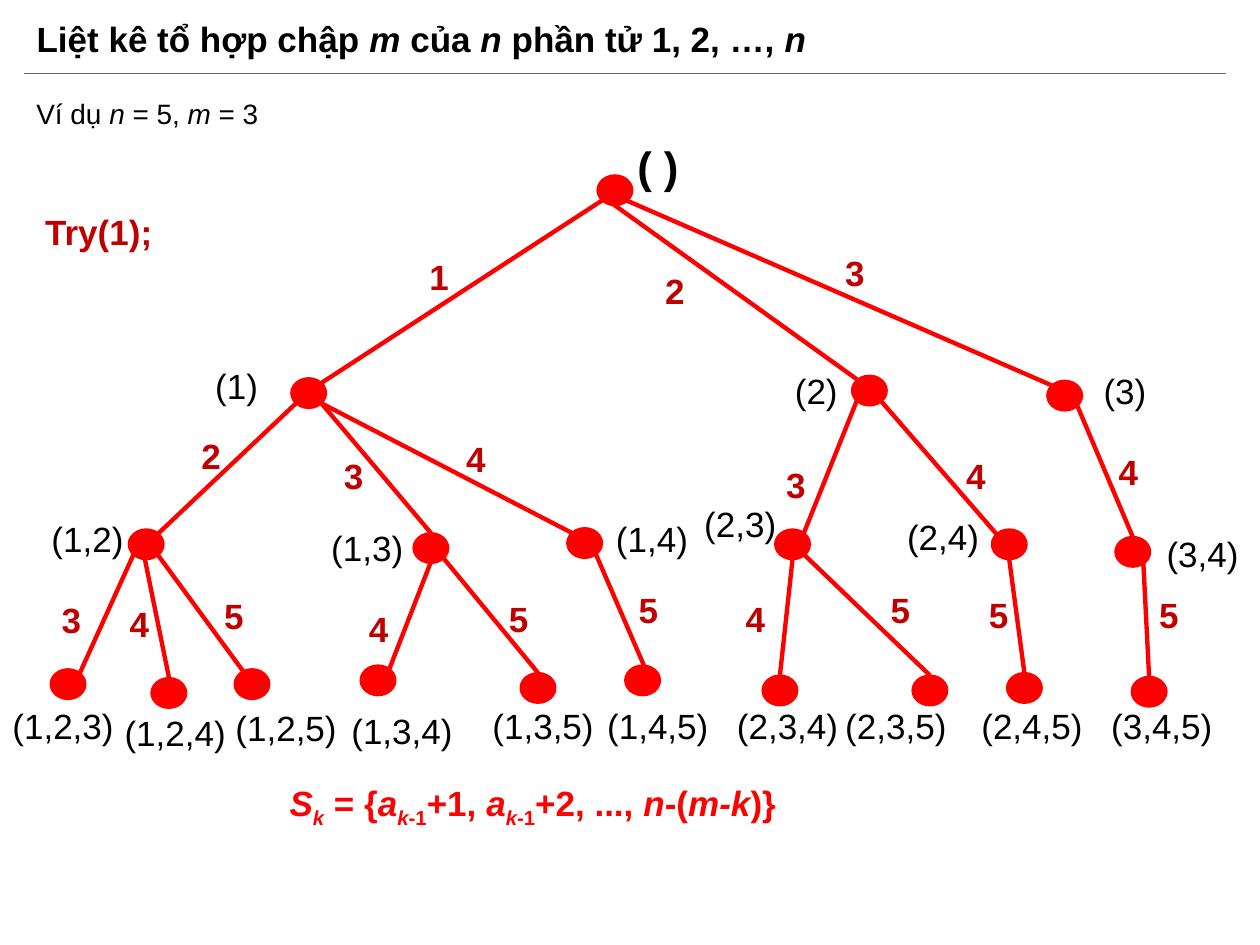
from pptx import Presentation
from pptx import util as u
from pptx.dml.color import RGBColor
from pptx.enum import shapes, text
from pptx.oxml.xmlchemy import OxmlElement

SCALE = 9144  # EMU per px, 100 px to the inch
COLORS = {"black": "000000", "red": "FF0000", "dark_red": "C00000", "grey": "666666"}

presentation = Presentation()
presentation.slide_width, presentation.slide_height = 1000 * SCALE, 750 * SCALE
slide = presentation.slides.add_slide(presentation.slide_layouts[5])


def write(shape, box, runs, size=20, color="black", bold=False, spacing=None, wrap=True):
    """Place a text shape and fill it; run marks: i = italic, s = subscript."""
    shape.left, shape.top, shape.width, shape.height = [n * SCALE for n in box]
    frame = shape.text_frame
    frame.word_wrap = wrap
    frame.auto_size = text.MSO_AUTO_SIZE.NONE
    paragraph = frame.paragraphs[0]
    paragraph.alignment = text.PP_ALIGN.LEFT
    if spacing:
        paragraph.line_spacing = spacing
    for words, marks in runs:
        run = paragraph.add_run()
        run.text = words
        run.font.name = "Arial"
        run.font.size = u.Pt(size)
        run.font.bold = bold
        run.font.italic = "i" in marks
        run.font.color.rgb = RGBColor.from_string(COLORS[color])
        if "s" in marks:
            run.font._element.set("baseline", "-25000")


def draw_line(start, end, color, width):
    points = [n * SCALE for n in (*start, *end)]
    line = slide.shapes.add_connector(shapes.MSO_CONNECTOR.STRAIGHT, *points)
    line.line.color.rgb = RGBColor.from_string(COLORS[color])
    line.line.width = u.Pt(width)
    line._element.spPr.append(OxmlElement("a:effectLst"))


# Title, rule and example
write(slide.shapes.title, (19, 8, 862, 50),
      [("Liệt kê tổ hợp chập ", ""), ("m ", "i"), ("của ", ""), ("n ", "i"),
       ("phần tử 1, 2, …, ", ""), ("n", "i")], bold=True, spacing=0.9)
slide.shapes.title.text_frame.vertical_anchor = text.MSO_ANCHOR.MIDDLE
draw_line((19, 58), (973, 58), "grey", 0.5)
write(slide.shapes.add_textbox(0, 0, 0, 0), (19, 75, 954, 40),
      [("Ví dụ ", ""), ("n", "i"), (" = 5, ", ""), ("m", "i"), (" = 3", "")],
      size=16, spacing=0.9)

# Tree nodes: node corner, node label corner
nodes = {
    "( )": ((474, 139), (496, 106)),
    "(1)": ((231, 300), (161, 284)),
    "(2)": ((676, 298), (621, 288)),
    "(3)": ((831, 302), (866, 288)),
    "(1,2)": ((102, 420), (31, 406)),
    "(1,3)": ((328, 423), (253, 413)),
    "(1,4)": ((450, 419), (479, 406)),
    "(2,3)": ((615, 420), (549, 394)),
    "(2,4)": ((787, 420), (710, 404)),
    "(3,4)": ((885, 426), (916, 418)),
    "(1,2,3)": ((40, 531), (0, 554)),
    "(1,2,4)": ((120, 538), (89, 560)),
    "(1,2,5)": ((186, 531), (177, 556)),
    "(1,3,4)": ((286, 528), (269, 558)),
    "(1,3,5)": ((413, 534), (381, 554)),
    "(1,4,5)": ((496, 528), (472, 554)),
    "(2,3,4)": ((605, 536), (575, 554)),
    "(2,3,5)": ((724, 536), (661, 554)),
    "(2,4,5)": ((799, 534), (769, 554)),
    "(3,4,5)": ((898, 537), (872, 554)),
}

# Tree edges: start, end, chosen number, number corner
edges = [
    ((478, 159), (255, 304), "1", (331, 198)),
    ((481, 158), (680, 301), "2", (518, 209)),
    ((497, 159), (835, 306), "3", (661, 195)),
    ((235, 320), (125, 424), "2", (150, 340)),
    ((255, 320), (342, 423), "3", (263, 356)),
    ((255, 320), (454, 423), "4", (360, 342)),
    ((680, 318), (638, 423), "3", (614, 363)),
    ((699, 318), (791, 424), "4", (757, 356)),
    ((847, 303), (899, 426), "4", (878, 353)),
    ((106, 440), (63, 535), "3", (39, 470)),
    ((115, 444), (137, 552), "4", (93, 473)),
    ((125, 440), (202, 545), "5", (168, 467)),
    ((342, 446), (309, 531), "4", (283, 477)),
    ((352, 443), (427, 534), "5", (394, 469)),
    ((473, 440), (511, 528), "5", (497, 462)),
    ((629, 444), (619, 536), "4", (582, 469)),
    ((638, 440), (738, 536), "5", (697, 462)),
    ((801, 444), (813, 534), "5", (775, 466)),
    ((907, 438), (912, 537), "5", (910, 466)),
]

for start, end, number, corner in edges:
    draw_line(start, end, "red", 2.5)
    write(slide.shapes.add_textbox(0, 0, 0, 0), (*corner, 72, 44), [(number, "")],
          color="dark_red", bold=True)

for label, (node_corner, label_corner) in nodes.items():
    box = [n * SCALE for n in (*node_corner, 28, 24)]
    node = slide.shapes.add_shape(shapes.MSO_SHAPE.OVAL, *box)
    node.shadow.inherit = False
    node.fill.solid()
    node.fill.fore_color.rgb = RGBColor.from_string(COLORS["red"])
    node.line.color.rgb = RGBColor.from_string(COLORS["red"])
    node.line.width = u.Pt(1)
    is_root = label == "( )"
    size = (72, 52) if is_root else (119, 44)
    write(slide.shapes.add_textbox(0, 0, 0, 0), (*label_corner, *size), [(label, "")],
          size=25 if is_root else 20, bold=is_root)

# First call and candidate set
write(slide.shapes.add_textbox(0, 0, 0, 0), (26, 169, 105, 37), [("Try(1);", "")],
      color="dark_red", bold=True, spacing=0.8, wrap=False)
previous = [("a", "i"), ("k", "is"), ("-1", "s")]
write(slide.shapes.add_textbox(0, 0, 0, 0), (220, 616, 424, 40),
      [("S", "i"), ("k", "is"), (" = {", ""), *previous, ("+1, ", ""), *previous,
       ("+2, ..., ", ""), ("n", "i"), ("-(", ""), ("m-k", "i"), (")}", "")],
      color="red", bold=True, spacing=0.9, wrap=False)

presentation.save("out.pptx")
